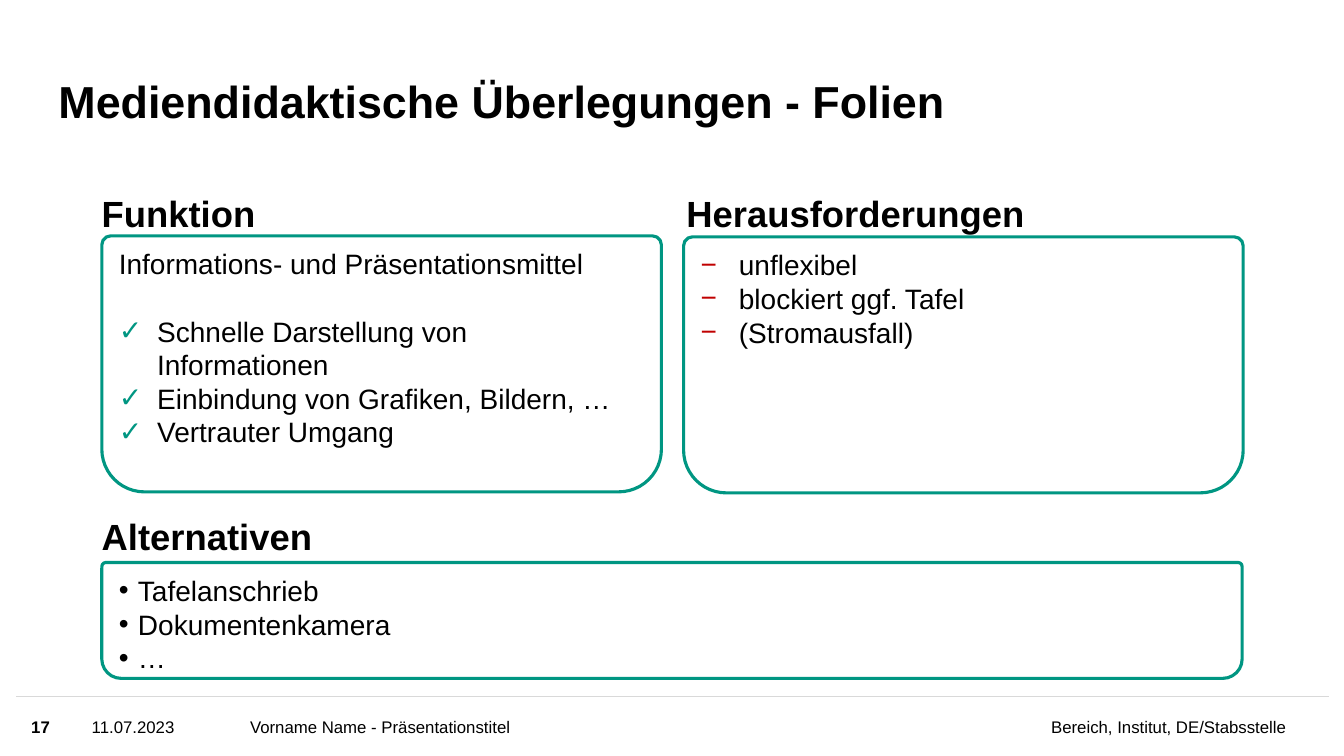
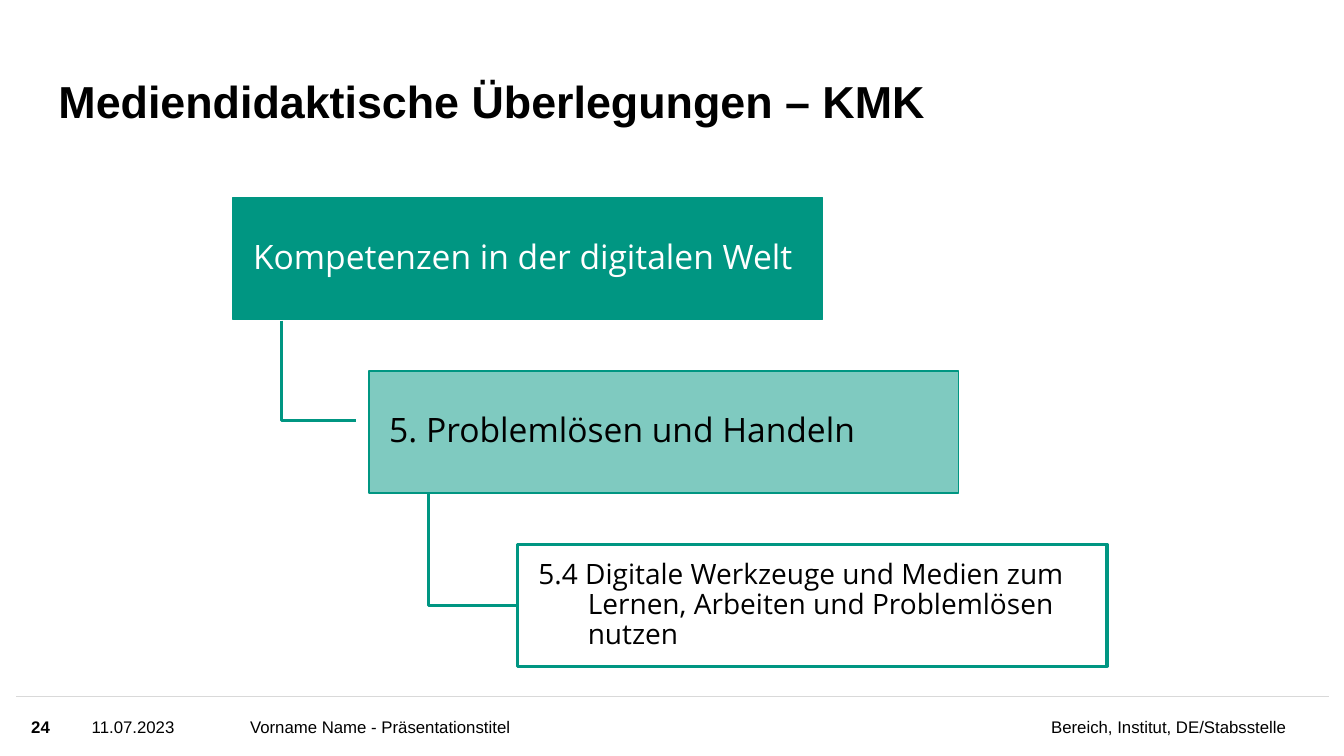
"""Build two slides on media didactics: a panel overview and a competence staircase."""
from lxml import etree
from pptx import Presentation
from pptx import util as u
from pptx.dml.color import RGBColor
from pptx.enum import shapes, text
from pptx.oxml import ns

GREEN = RGBColor(0x00, 0x96, 0x82)
RED = RGBColor(0xC0, 0x00, 0x00)
GREY = RGBColor(0xD9, 0xD9, 0xD9)
BLACK = RGBColor(0x00, 0x00, 0x00)
WHITE = RGBColor(0xFF, 0xFF, 0xFF)

SLIDE_SIZE = (13.33, 7.5)
TITLE_AREA = (0.58, 0.43, 10.02, 0.84)
FOOTER_TOP, FOOTER_HEIGHT = 6.92, 0.58
FOOTER_RULE = (0.16, 6.91, 13.18, 6.91)
DATE = "11.07.2023"
TALK = "Vorname Name - Präsentationstitel"
UNIT = "Bereich, Institut, DE/Stabsstelle"

CHECK = {"bullet": "✓", "color": GREEN, "indent": 0.38}
MINUS = {"bullet": "−", "color": RED, "indent": 0.38}
DOT = {"bullet": "•", "color": BLACK, "indent": 0.19}

PANELS = [
    {"heading": "Funktion", "heading_at": (0.91, 1.85), "box": (1.01, 2.34, 5.55, 2.54),
     "intro": "Informations- und Präsentationsmittel", "marker": CHECK,
     "items": ["Schnelle Darstellung von Informationen",
               "Einbindung von Grafiken, Bildern, …", "Vertrauter Umgang"]},
    {"heading": "Herausforderungen", "heading_at": (6.71, 1.85), "box": (6.78, 2.35, 5.55, 2.54),
     "marker": MINUS, "items": ["unflexibel", "blockiert ggf. Tafel", "(Stromausfall)"]},
    {"heading": "Alternativen", "heading_at": (0.91, 5.05), "box": (1.01, 5.58, 11.31, 1.15),
     "marker": DOT, "items": ["Tafelanschrieb", "Dokumentenkamera", "…"]},
]

STEP_TOP, STEP_PITCH = 1.96, 1.72
STEP_WIDTH, STEP_HEIGHT = 5.85, 1.21
STEPS = [
    {"label": "Kompetenzen in der digitalen Welt", "left": 2.31, "size": 24,
     "ink": WHITE, "opacity": 100, "border": 1, "indent": (0.19, 0)},
    {"label": "5. Problemlösen und Handeln", "left": 3.66, "size": 24,
     "ink": BLACK, "opacity": 50, "border": 1, "indent": (0.19, 0)},
    {"label": "5.4 Digitale Werkzeuge und Medien zum Lernen, Arbeiten und Problemlösen nutzen",
     "left": 5.13, "size": 20, "ink": BLACK, "opacity": 0, "border": 2.25,
     "indent": (0.69, -0.49)},
]
ELBOWS = [
    [(2.79, 3.18), (2.79, 4.17), (3.53, 4.17)],
    [(4.25, 4.9), (4.25, 6.01), (5.13, 6.01)],
]


def inches(*lengths):
    return [u.Inches(length) for length in lengths]


def apply(target, values):
    for name, value in values.items():
        setattr(target, name, value)


def format_frame(frame, inset=None, **values):
    apply(frame, {"word_wrap": True, "auto_size": text.MSO_AUTO_SIZE.NONE, **values})
    if inset is not None:
        sides = ("left", "top", "right", "bottom")
        apply(frame, {f"margin_{side}": u.Inches(inset) for side in sides})


def write(paragraph, words, size, bold=False, color=BLACK, font="Arial", **values):
    run = paragraph.add_run()
    run.text = words
    apply(run.font, {"name": font, "size": u.Pt(size), "bold": bold})
    run.font.color.rgb = color
    apply(paragraph, {"alignment": text.PP_ALIGN.LEFT, **values})


def set_indent(paragraph, margin, first_line):
    properties = paragraph._p.get_or_add_pPr()
    properties.set("marL", str(u.Inches(margin)))
    properties.set("indent", str(u.Inches(first_line)))
    return properties


def set_bullet(paragraph, marker):
    properties = set_indent(paragraph, marker["indent"], -marker["indent"])
    tint = etree.SubElement(properties, ns.qn("a:buClr"))
    etree.SubElement(tint, ns.qn("a:srgbClr"), val=str(marker["color"]))
    etree.SubElement(properties, ns.qn("a:buFont"), typeface="Arial")
    etree.SubElement(properties, ns.qn("a:buChar"), char=marker["bullet"])


def outline(shape, width):
    shape.shadow.inherit = False
    shape.line.color.rgb = GREEN
    shape.line.width = u.Pt(width)


def add_label(slide, area, words, inset=None, anchor=text.MSO_ANCHOR.TOP, **style):
    frame = slide.shapes.add_textbox(*inches(*area)).text_frame
    format_frame(frame, inset, vertical_anchor=anchor)
    write(frame.paragraphs[0], words, **style)


def add_footer(slide, number):
    x1, y1, x2, y2 = inches(*FOOTER_RULE)
    rule = slide.shapes.add_connector(shapes.MSO_CONNECTOR.STRAIGHT, x1, y1, x2, y2)
    rule.line.color.rgb = GREY
    rule.line.width = u.Pt(1)
    etree.SubElement(rule._element.spPr, ns.qn("a:effectLst"))
    entries = [
        (0.31, 0.48, str(number), {"bold": True}),
        (0.91, 1.5, DATE, {}),
        (2.48, 5.37, TALK, {}),
        (8.03, 4.73, UNIT, {"alignment": text.PP_ALIGN.RIGHT}),
    ]
    for left, width, words, style in entries:
        add_label(slide, (left, FOOTER_TOP, width, FOOTER_HEIGHT), words, inset=0,
                  anchor=text.MSO_ANCHOR.MIDDLE, size=12, **style)


def add_page(deck, title, number):
    slide = deck.slides.add_slide(deck.slide_layouts.get_by_name("Title Only"))
    heading = slide.shapes.title
    apply(heading, dict(zip(("left", "top", "width", "height"), inches(*TITLE_AREA))))
    format_frame(heading.text_frame, 0, vertical_anchor=text.MSO_ANCHOR.BOTTOM)
    write(heading.text_frame.paragraphs[0], title, 32, bold=True, line_spacing=0.9)
    add_footer(slide, number)
    return slide


def add_panel(slide, panel):
    left, top, width, height = panel["box"]
    box = slide.shapes.add_shape(shapes.MSO_SHAPE.ROUND_2_SAME_RECTANGLE,
                                 *inches(left, top, width, height))
    box.adjustments[0], box.adjustments[1] = 0.035, 0.167
    box.fill.solid()
    box.fill.fore_color.rgb = WHITE
    outline(box, 2.25)
    add_label(slide, (*panel["heading_at"], 3.59, 0.54), panel["heading"], size=26, bold=True)

    area = inches(left + 0.07, top + 0.06, width - 0.17, height - 0.1)
    frame = slide.shapes.add_textbox(*area).text_frame
    format_frame(frame)
    intro = panel.get("intro")
    if intro:
        write(frame.paragraphs[0], intro, 20)
    for index, item in enumerate(panel["items"]):
        first = index == 0
        line = frame.paragraphs[0] if first and not intro else frame.add_paragraph()
        write(line, item, 20, space_before=u.Pt(24 if first and intro else 0))
        set_bullet(line, panel["marker"])


def add_step(slide, index, step):
    area = inches(step["left"], STEP_TOP + index * STEP_PITCH, STEP_WIDTH, STEP_HEIGHT)
    box = slide.shapes.add_shape(shapes.MSO_SHAPE.RECTANGLE, *area)
    outline(box, step["border"])
    if step["opacity"]:
        box.fill.solid()
        box.fill.fore_color.rgb = GREEN
        tint = box._element.spPr.find(ns.qn("a:solidFill")).find(ns.qn("a:srgbClr"))
        etree.SubElement(tint, ns.qn("a:alpha"), val=str(step["opacity"] * 1000))
    else:
        box.fill.background()
    format_frame(box.text_frame, 0.01, vertical_anchor=text.MSO_ANCHOR.MIDDLE)
    label = box.text_frame.paragraphs[0]
    write(label, step["label"], step["size"], color=step["ink"], font="Open Sans",
          line_spacing=0.9)
    set_indent(label, *step["indent"])


def add_elbow(slide, points):
    start, *corners = [inches(*point) for point in points]
    builder = slide.shapes.build_freeform(*start)
    builder.add_line_segments(corners, close=False)
    elbow = builder.convert_to_shape()
    elbow.fill.background()
    outline(elbow, 2.25)


def main():
    deck = Presentation()
    deck.slide_width, deck.slide_height = inches(*SLIDE_SIZE)

    overview = add_page(deck, "Mediendidaktische Überlegungen - Folien", 17)
    for panel in PANELS:
        add_panel(overview, panel)

    staircase = add_page(deck, "Mediendidaktische Überlegungen – KMK", 24)
    for points in ELBOWS:
        add_elbow(staircase, points)
    for index, step in enumerate(STEPS):
        add_step(staircase, index, step)

    deck.save("out.pptx")


if __name__ == "__main__":
    main()
